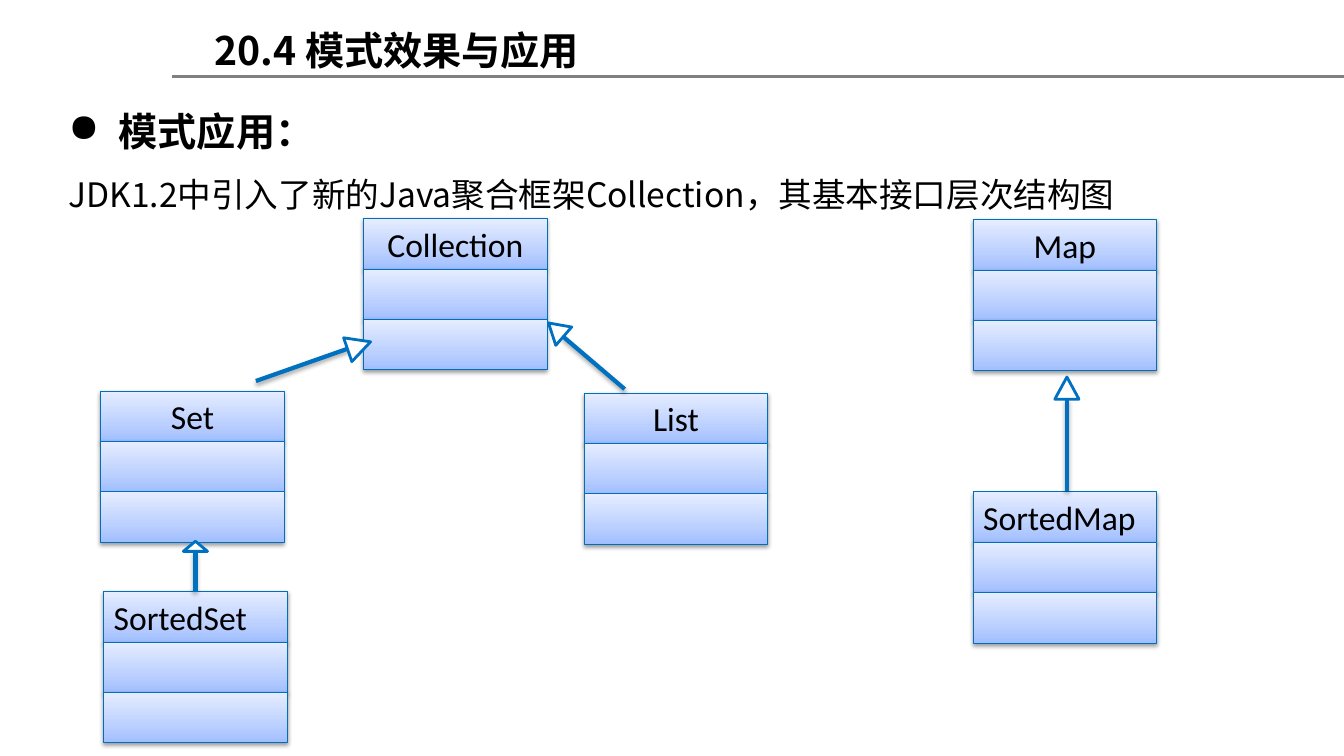
from dataclasses import dataclass

from lxml import etree
from pptx import Presentation
from pptx.dml.color import RGBColor
from pptx.enum.shapes import MSO_CONNECTOR, MSO_SHAPE
from pptx.enum.text import MSO_ANCHOR, PP_ALIGN
from pptx.oxml import parse_xml
from pptx.oxml.ns import nsdecls, qn
from pptx.util import Emu, Pt

RECTANGLE = MSO_SHAPE.RECTANGLE
TRIANGLE = MSO_SHAPE.ISOSCELES_TRIANGLE
STRAIGHT = MSO_CONNECTOR.STRAIGHT
LEFT, CENTER = PP_ALIGN.LEFT, PP_ALIGN.CENTER
MIDDLE = MSO_ANCHOR.MIDDLE
TOP_SIDE = 0

PX = 9144  # 100 px to the inch
ROW_WIDTH, ROW_HEIGHT, ROW_COUNT = 182, 50, 3


@dataclass(frozen=True)
class Theme:
    text: str = "000000"
    rule: str = "808080"
    box_line: str = "006EBC"
    arrow: str = "0070C0"
    arrow_head: str = "FFFFFF"
    box_stops: tuple = ((0, "A0BEFF"), (35, "BCD0FF"), (100, "E5EDFF"))
    heading_font: str = "Noto Sans CJK SC"
    box_font: str = "Calibri"
    heading_size: int = 28
    body_size: int = 24


def px(*lengths):
    return [Emu(length * PX) for length in lengths]


class SlideBuilder:
    def __init__(self, slide, theme):
        self.slide = slide
        self.theme = theme

    def style_text(self, paragraph, font_name, size, bold=False):
        font = paragraph.font
        font.name, font.size, font.bold = font_name, Pt(size), bold
        font.color.rgb = RGBColor.from_string(self.theme.text)
        properties = paragraph._p.pPr.find(qn("a:defRPr"))
        etree.SubElement(properties, qn("a:ea")).set("typeface", font_name)

    def add_shadow(self, effects, alpha, distance):
        effects.append(parse_xml(
            f'<a:outerShdw {nsdecls("a")} blurRad="40000" dist="{distance}" '
            'dir="5400000" rotWithShape="0"><a:srgbClr val="000000">'
            f'<a:alpha val="{alpha}000"/></a:srgbClr></a:outerShdw>'))

    def text_box(self, bounds, lines, line_spacing=1.0):
        """Each line is (text, size, bold, bulleted)."""
        frame = self.slide.shapes.add_textbox(*px(*bounds)).text_frame
        frame.word_wrap = True
        for index, (text, size, bold, bulleted) in enumerate(lines):
            paragraph = frame.add_paragraph() if index else frame.paragraphs[0]
            paragraph.text = text
            paragraph.line_spacing = line_spacing
            if bulleted:
                properties = paragraph._p.get_or_add_pPr()
                properties.set("marL", "457200")
                properties.set("indent", "-457200")
                etree.SubElement(properties, qn("a:buChar")).set("char", "●")
            self.style_text(paragraph, self.theme.heading_font, size, bold)

    def line(self, start, end, color, width, shadow=False):
        connector = self.slide.shapes.add_connector(STRAIGHT, *px(*start, *end))
        connector.line.color.rgb = RGBColor.from_string(color)
        connector.line.width = Pt(width)
        effects = etree.SubElement(connector._element.spPr, qn("a:effectLst"))
        if shadow:
            self.add_shadow(effects, 35, 23000)
        return connector

    def class_row(self, shapes, left, top):
        row = shapes.add_shape(RECTANGLE, *px(left, top, ROW_WIDTH, ROW_HEIGHT))
        row.line.color.rgb = RGBColor.from_string(self.theme.box_line)
        row.line.width = Pt(0.75)
        row.shadow.inherit = False
        properties = row._element.spPr
        self.add_shadow(properties.find(qn("a:effectLst")), 38, 20000)
        stops = "".join(
            f'<a:gs pos="{position}000"><a:srgbClr val="{color}"/></a:gs>'
            for position, color in self.theme.box_stops)
        properties.find(qn("a:ln")).addprevious(parse_xml(
            f'<a:gradFill {nsdecls("a")} rotWithShape="1"><a:gsLst>{stops}'
            '</a:gsLst><a:lin ang="16200000" scaled="0"/></a:gradFill>'))
        return row

    def class_box(self, name, left, top, alignment=CENTER):
        """Draw a three-row class box and return its name row."""
        shapes = self.slide.shapes.add_group_shape().shapes
        rows = [self.class_row(shapes, left, top + index * ROW_HEIGHT)
                for index in range(ROW_COUNT)]
        frame = rows[0].text_frame
        frame.word_wrap = True
        frame.vertical_anchor = MIDDLE
        paragraph = frame.paragraphs[0]
        paragraph.text = name
        paragraph.alignment = alignment
        self.style_text(paragraph, self.theme.box_font, self.theme.body_size)
        return rows[0]

    def inheritance_arrow(self, start, end, head, rotation=0):
        connector = self.line(start, end, self.theme.arrow, 3, shadow=True)
        triangle = self.slide.shapes.add_shape(TRIANGLE, *px(*head))
        triangle.rotation = rotation
        triangle.fill.solid()
        triangle.fill.fore_color.rgb = RGBColor.from_string(self.theme.arrow_head)
        triangle.line.color.rgb = RGBColor.from_string(self.theme.arrow)
        triangle.line.width = Pt(2)
        triangle.shadow.inherit = False
        return connector


def main():
    presentation = Presentation()
    presentation.slide_width, presentation.slide_height = px(1334, 750)
    slide = presentation.slides.add_slide(presentation.slide_layouts[6])
    theme = Theme()
    builder = SlideBuilder(slide, theme)

    # Heading and introduction
    builder.line((171, 76), (1334, 76), theme.rule, 2)
    builder.text_box((203, 21, 756, 57), [
        ("20.4 模式效果与应用", theme.heading_size, True, False)])
    builder.text_box((58, 78, 1260, 141), [
        ("模式应用：", theme.heading_size, True, True),
        ("JDK1.2中引入了新的Java聚合框架Collection，其基本接口层次结构图",
         theme.body_size, False, False)], line_spacing=1.5)

    # Interfaces
    builder.class_box("Collection", 361, 217)
    builder.class_box("Map", 966, 218)
    builder.class_box("SortedMap", 966, 488, LEFT)
    builder.class_box("Set", 100, 388)
    builder.class_box("List", 580, 390)
    sorted_set = builder.class_box("SortedSet", 103, 587, LEFT)

    # Inheritance, from child to parent
    builder.inheritance_arrow((620, 386), (559, 334), (540, 317, 24, 20), 311)
    builder.inheritance_arrow((1059, 487), (1059, 396), (1047, 374, 24, 22))
    set_arrow = builder.inheritance_arrow((194, 587), (194, 547), (182, 537, 24, 10))
    set_arrow.begin_connect(sorted_set, TOP_SIDE)
    builder.inheritance_arrow((254, 378), (345, 346), (344, 331, 25, 24), 71)

    presentation.save("out.pptx")


if __name__ == "__main__":
    main()
